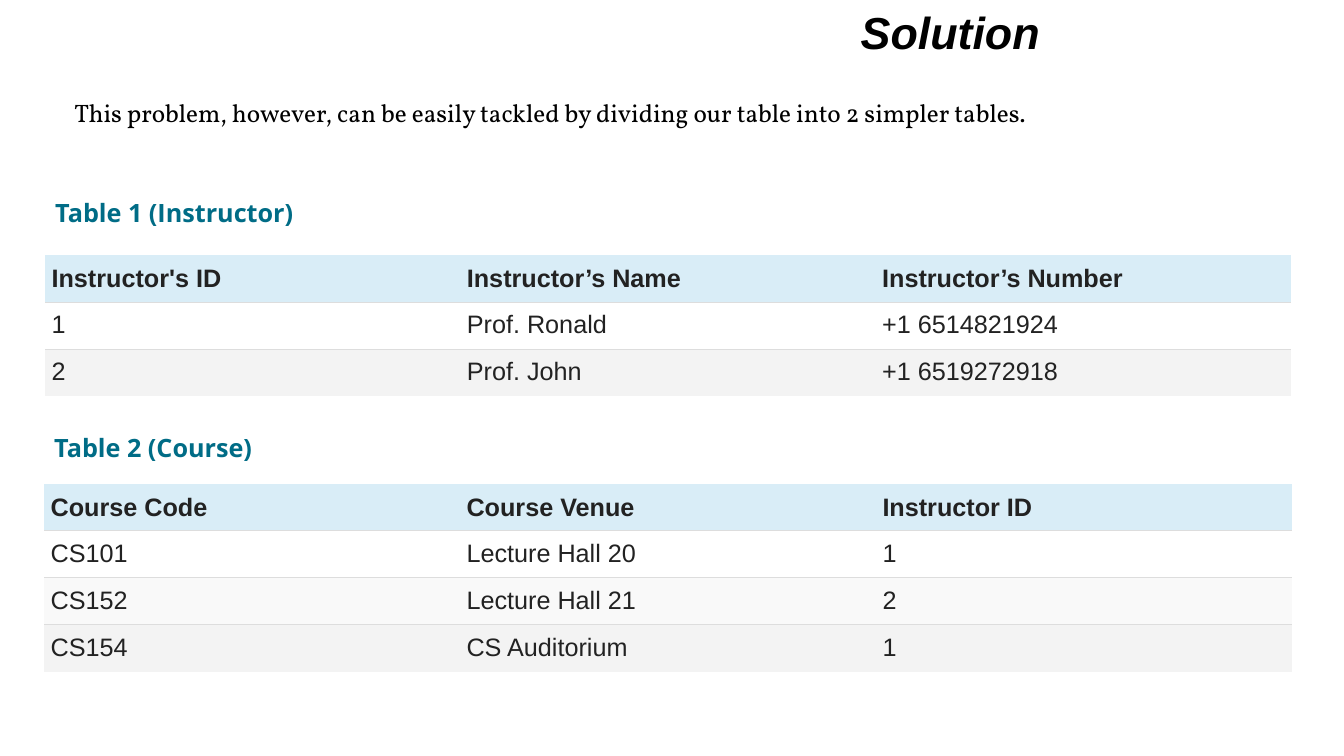
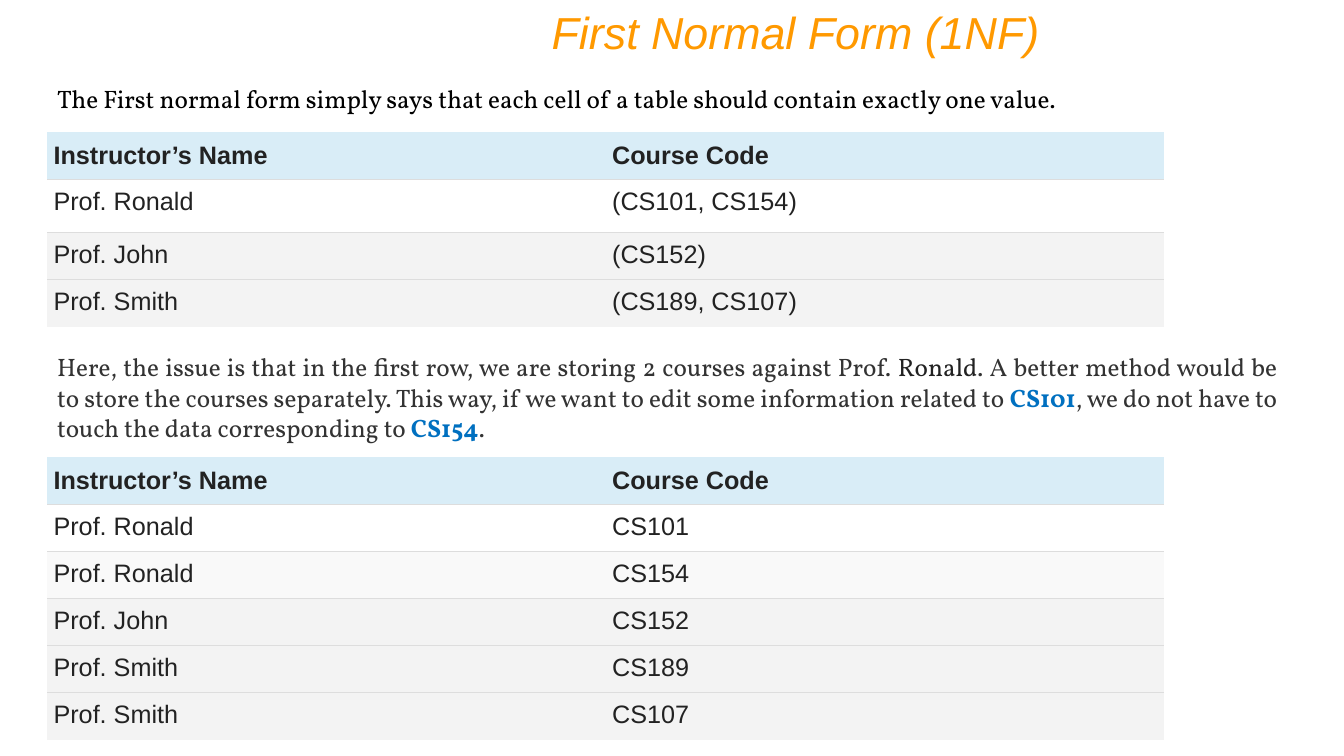
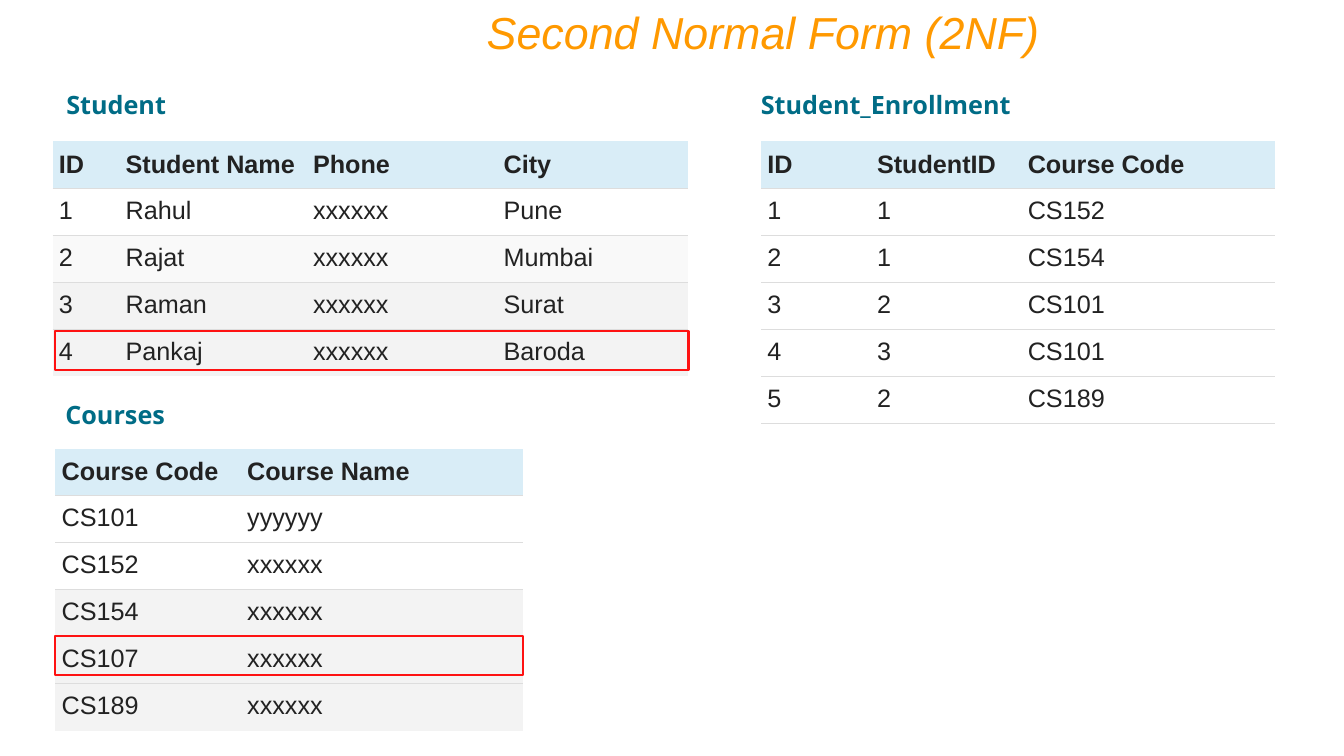
import dataclasses

import pptx
import pptx.dml.color
import pptx.enum.shapes
import pptx.enum.text
import pptx.oxml.ns
import pptx.util
from lxml import etree

Pt = pptx.util.Pt
ALIGN = pptx.enum.text.PP_ALIGN
ANCHOR = pptx.enum.text.MSO_ANCHOR


@dataclasses.dataclass(frozen=True)
class Theme:
    # Colours
    black: str = "000000"
    orange: str = "FF9900"
    teal: str = "006C86"
    blue: str = "0070C0"
    gray: str = "333333"
    ink: str = "222222"
    header: str = "D9EDF7"
    white: str = "FFFFFF"
    pale: str = "F9F9F9"
    shade: str = "F3F3F3"
    rule: str = "DDDDDD"
    red: str = "FE1212"
    # Fonts and sizes
    sans: str = "Arial"
    serif: str = "Vollkorn"
    label: str = "Open Sans"
    title_size: float = 32
    text_size: float = 18
    # Table measures
    row: float = 33.6
    cell_x: float = 4.5
    cell_y: float = 6
    rule_width: float = 0.75


THEME = Theme()


def rgb(color):
    return pptx.dml.color.RGBColor.from_string(color)


class Deck:
    def __init__(self, theme):
        self.theme = theme
        self.prs = pptx.Presentation()
        self.prs.slide_width, self.prs.slide_height = Pt(960), Pt(540)
        self.slide = None

    def new_slide(self, title, color, bold=False):
        self.slide = self.prs.slides.add_slide(self.prs.slide_layouts[6])
        paragraph = self.text_box(210, 0, 540, 46, ALIGN.RIGHT)
        self.run(paragraph, title, self.theme.sans, color, bold,
                 size=self.theme.title_size, italic=True)

    def text_box(self, left, top, width, height, align):
        box = self.slide.shapes.add_textbox(Pt(left), Pt(top), Pt(width), Pt(height))
        frame = box.text_frame
        frame.word_wrap = True
        frame.auto_size = pptx.enum.text.MSO_AUTO_SIZE.SHAPE_TO_FIT_TEXT
        frame.paragraphs[0].alignment = align
        return frame.paragraphs[0]

    def run(self, paragraph, text, font, color, bold=False, size=None, italic=False):
        run = paragraph.add_run()
        run.text = text
        run.font.name = font
        run.font.size = Pt(size or self.theme.text_size)
        run.font.bold, run.font.italic = bold, italic
        run.font.color.rgb = rgb(color)

    def body(self, left, top, width, height, parts):
        """Justified text made of (text, colour, bold) parts."""
        paragraph = self.text_box(left, top, width, height, ALIGN.JUSTIFY)
        for text, color, bold in parts:
            self.run(paragraph, text, self.theme.serif, color, bold)

    def caption(self, left, top, width, text):
        paragraph = self.text_box(left, top, width, 29, ALIGN.LEFT)
        self.run(paragraph, text, self.theme.label, self.theme.teal, True)

    def table(self, left, top, widths, rows, fills, heights=None, closed=False):
        """Header row plus data rows; closed draws a rule under the last row."""
        heights = heights or [self.theme.row] * len(rows)
        table = self.slide.shapes.add_table(
            len(rows), len(widths), Pt(left), Pt(top),
            Pt(sum(widths)), Pt(sum(heights))).table
        table.horz_banding = False
        for column, width in zip(table.columns, widths):
            column.width = Pt(width)
        last = len(rows) - 1
        for i, (values, fill) in enumerate(zip(rows, [self.theme.header, *fills])):
            table.rows[i].height = Pt(heights[i])
            for j, value in enumerate(values):
                cell = table.cell(i, j)
                cell.margin_left = cell.margin_right = Pt(self.theme.cell_x)
                cell.margin_top = cell.margin_bottom = Pt(self.theme.cell_y)
                cell.vertical_anchor = ANCHOR.TOP if i else ANCHOR.MIDDLE
                cell.fill.solid()
                cell.fill.fore_color.rgb = rgb(fill)
                self.run(cell.text_frame.paragraphs[0], value,
                         self.theme.sans, self.theme.ink, bold=i == 0)
                self.borders(cell, above=i > 0, below=i < last or closed)

    def borders(self, cell, above, below):
        qn = pptx.oxml.ns.qn
        properties = cell._tc.get_or_add_tcPr()
        edges = [("a:lnL", False), ("a:lnR", False), ("a:lnT", above), ("a:lnB", below)]
        for position, (tag, ruled) in enumerate(edges):
            line = etree.Element(qn(tag), w=str(int(Pt(self.theme.rule_width))))
            if ruled:
                fill = etree.SubElement(line, qn("a:solidFill"))
                etree.SubElement(fill, qn("a:srgbClr"), val=self.theme.rule)
            else:
                etree.SubElement(line, qn("a:noFill"))
            properties.insert(position, line)

    def highlight(self, left, top, width):
        frame = self.slide.shapes.add_shape(
            pptx.enum.shapes.MSO_SHAPE.RECTANGLE, Pt(left), Pt(top), Pt(width), Pt(28))
        frame.shadow.inherit = False
        frame.fill.background()
        frame.line.color.rgb = rgb(self.theme.red)
        frame.line.width = Pt(1.5)


def solution(deck):
    t = deck.theme
    deck.new_slide("Solution", t.black, bold=True)
    deck.body(46, 66.2, 862, 29, [
        ("This problem, however, can be easily tackled by dividing our table "
         "into 2 simpler tables.", t.black, False)])
    # Instructor table
    deck.caption(32.4, 137.5, 294, "Table 1 (Instructor)")
    deck.table(32.4, 182.2, [296.64] * 3, [
        ("Instructor's ID", "Instructor’s Name", "Instructor’s Number"),
        ("1", "Prof. Ronald", "+1 6514821924"),
        ("2", "Prof. John", "+1 6519272918"),
    ], [t.white, t.shade])
    # Course table
    deck.caption(31.7, 305.3, 257, "Table 2 (Course)")
    deck.table(31.7, 345.6, [297.12] * 3, [
        ("Course Code", "Course Venue", "Instructor ID"),
        ("CS101", "Lecture Hall 20", "1"),
        ("CS152", "Lecture Hall 21", "2"),
        ("CS154", "CS Auditorium", "1"),
    ], [t.white, t.pale, t.shade])


def first_normal_form(deck):
    t = deck.theme
    left, text_width, columns = 33.8, 885.6, [399] * 2
    header = ("Instructor’s Name", "Course Code")
    deck.new_slide("First Normal Form (1NF)", t.orange)
    # Several values in one cell
    deck.body(left, 56.2, text_width, 29, [
        ("The First normal form simply says that each cell of a table should "
         "contain exactly one value.", t.black, False)])
    deck.table(left, 94.3, columns, [
        header,
        ("Prof. Ronald", "(CS101, CS154)"),
        ("Prof. John", "(CS152)"),
        ("Prof. Smith", "(CS189, CS107)"),
    ], [t.white, t.shade, t.shade], heights=[t.row, 38.2, t.row, t.row])
    # One value in each cell
    deck.body(left, 247.7, text_width, 72.7, [
        ("Here, the issue is that in the first row, we are storing 2 courses "
         "against Prof. ", t.gray, False),
        ("Ronald", t.ink, False),
        (". A better method would be to store the courses separately. This way, "
         "if we want to edit some information related to ", t.gray, False),
        ("CS101", t.blue, True),
        (", we do not have to touch the data corresponding to ", t.gray, False),
        ("CS154", t.blue, True),
        (".", t.gray, False)])
    deck.table(left, 326.7, columns, [
        header,
        ("Prof. Ronald", "CS101"),
        ("Prof. Ronald", "CS154"),
        ("Prof. John", "CS152"),
        ("Prof. Smith", "CS189"),
        ("Prof. Smith", "CS107"),
    ], [t.white, t.pale] + [t.shade] * 3)


def second_normal_form(deck):
    t = deck.theme
    deck.new_slide("Second Normal Form (2NF)", t.orange)
    # Students
    deck.caption(40.3, 60.5, 230, "Student")
    deck.table(37.6, 100.8, [47.7, 133.9, 136.1, 136.1], [
        ("ID", "Student Name", "Phone", "City"),
        ("1", "Rahul", "xxxxxx", "Pune"),
        ("2", "Rajat", "xxxxxx", "Mumbai"),
        ("3", "Raman", "xxxxxx", "Surat"),
        ("4", "Pankaj", "xxxxxx", "Baroda"),
    ], [t.white, t.pale, t.shade, t.shade])
    # Courses
    deck.caption(39.6, 281.5, 237, "Courses")
    deck.table(39.6, 320.4, [132.5, 201.5], [
        ("Course Code", "Course Name"),
        ("CS101", "yyyyyy"),
        ("CS152", "xxxxxx"),
        ("CS154", "xxxxxx"),
        ("CS107", "xxxxxx"),
        ("CS189", "xxxxxx"),
    ], [t.white] * 2 + [t.shade] * 3)
    # Enrollment
    deck.caption(536.4, 60.5, 237, "Student_Enrollment")
    deck.table(543.6, 100.8, [78.4, 107.7, 181.1], [
        ("ID", "StudentID", "Course Code"),
        ("1", "1", "CS152"),
        ("2", "1", "CS154"),
        ("3", "2", "CS101"),
        ("4", "3", "CS101"),
        ("5", "2", "CS189"),
    ], [t.white] * 5, closed=True)
    # Rows without an enrollment
    deck.highlight(39.6, 236.2, 452.2)
    deck.highlight(39.6, 454.4, 334)


def main():
    deck = Deck(THEME)
    solution(deck)
    first_normal_form(deck)
    second_normal_form(deck)
    deck.prs.save("out.pptx")


if __name__ == "__main__":
    main()
